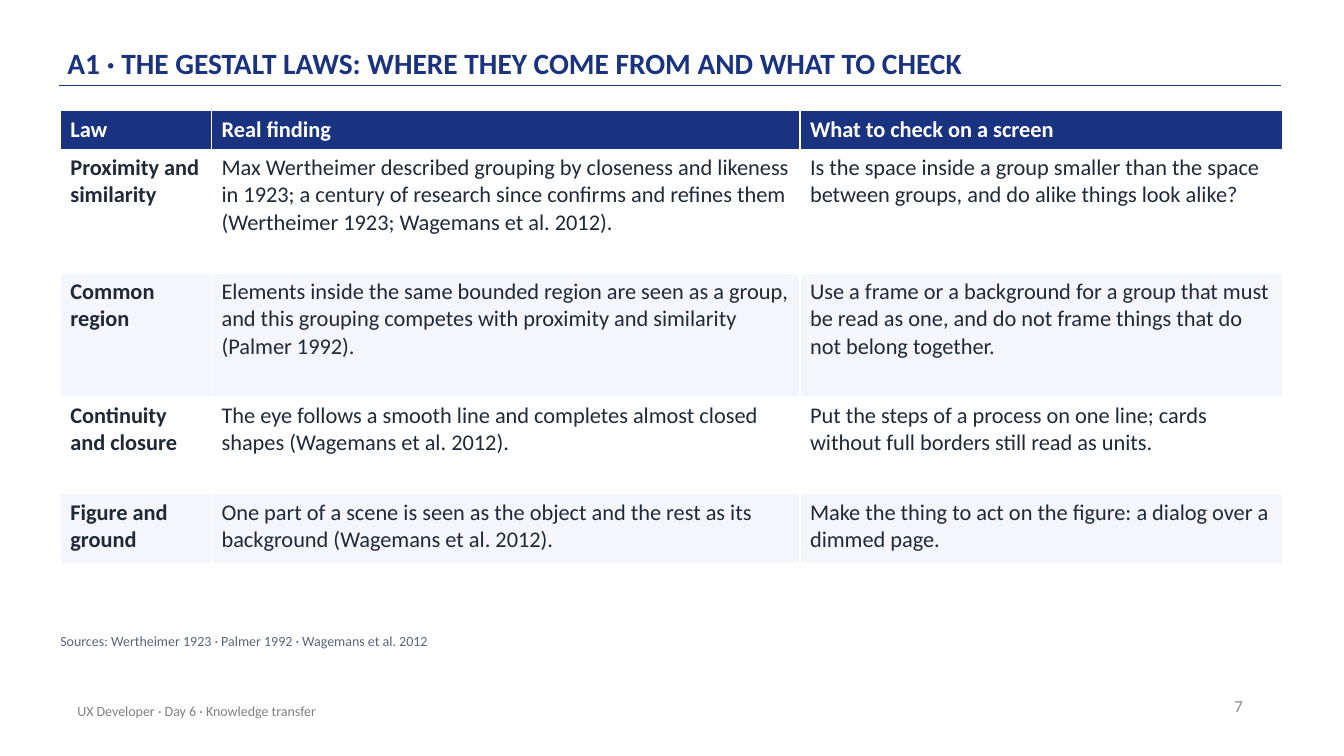
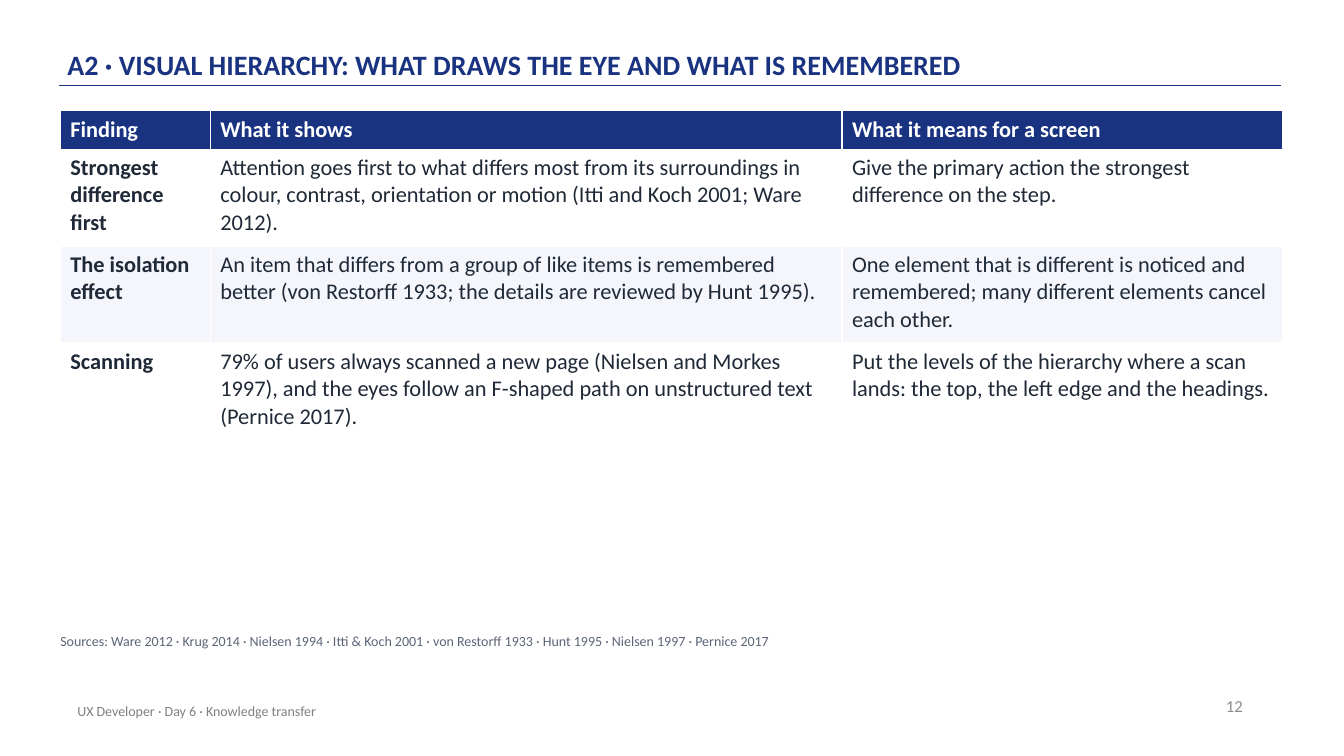
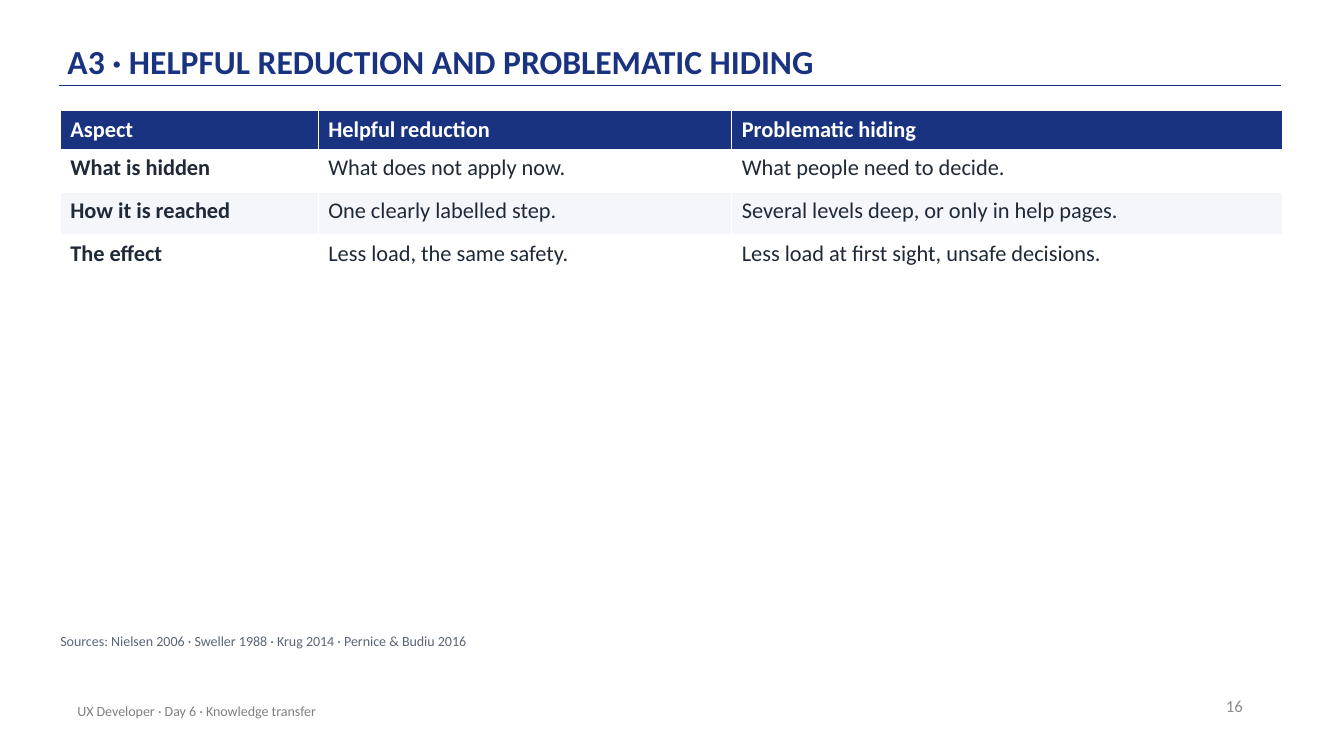
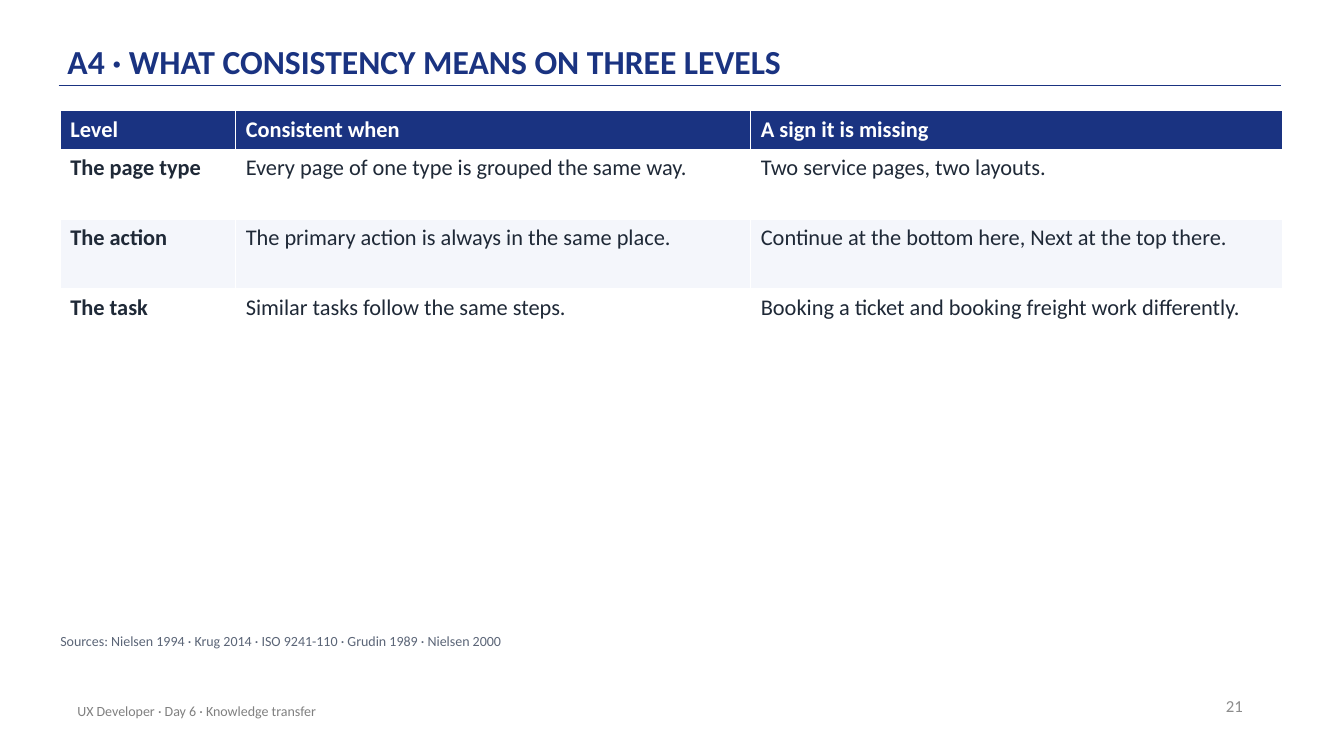
from lxml.etree import SubElement
from pptx import Presentation
from pptx.dml.color import RGBColor
from pptx.enum.shapes import MSO_CONNECTOR
from pptx.enum.text import MSO_ANCHOR, MSO_AUTO_SIZE, PP_ALIGN
from pptx.oxml.ns import qn
from pptx.util import Cm, Pt

NAVY = "1A3381"
INK = "1F2937"
WHITE = "FFFFFF"
PALE = "F4F6FB"
SLATE = "5B6577"
FOOTER_GREY = "808080"
NUMBER_GREY = "8C8C8C"

FONT = "Calibri"
FOOTER = "UX Developer · Day 6 · Knowledge transfer"
TABLE_LEFT, TABLE_TOP, TABLE_WIDTH = 1.52, 2.79, 30.81
HEADER_HEIGHT, ROW_PADDING, LINE_HEIGHT = 0.97, 0.4, 0.68

TITLE_FRAME = {
    "margin_left": 0, "margin_right": 0, "margin_top": Cm(0.08), "margin_bottom": Cm(0.08),
    "vertical_anchor": MSO_ANCHOR.BOTTOM, "auto_size": MSO_AUTO_SIZE.NONE, "word_wrap": True,
}
FOOTER_FRAME = {"vertical_anchor": MSO_ANCHOR.MIDDLE, "word_wrap": True}
SOURCES_FRAME = {
    "margin_left": 0, "margin_right": 0, "margin_top": 0, "margin_bottom": 0,
    "auto_size": MSO_AUTO_SIZE.SHAPE_TO_FIT_TEXT, "word_wrap": True,
}

SLIDES = [
    {
        "title": "A1 · THE GESTALT LAWS: WHERE THEY COME FROM AND WHAT TO CHECK",
        "title_size": 21,
        "number": 7,
        "first_columns": (3.81, 14.83),
        "row_lines": (4, 4, 3, 2),
        "rows": [
            ("Law", "Real finding", "What to check on a screen"),
            ("Proximity and similarity",
             "Max Wertheimer described grouping by closeness and likeness in 1923; a century of "
             "research since confirms and refines them (Wertheimer 1923; Wagemans et al. 2012).",
             "Is the space inside a group smaller than the space between groups, "
             "and do alike things look alike?"),
            ("Common region",
             "Elements inside the same bounded region are seen as a group, and this grouping "
             "competes with proximity and similarity (Palmer 1992).",
             "Use a frame or a background for a group that must be read as one, "
             "and do not frame things that do not belong together."),
            ("Continuity and closure",
             "The eye follows a smooth line and completes almost closed shapes "
             "(Wagemans et al. 2012).",
             "Put the steps of a process on one line; cards without full borders "
             "still read as units."),
            ("Figure and ground",
             "One part of a scene is seen as the object and the rest as its background "
             "(Wagemans et al. 2012).",
             "Make the thing to act on the figure: a dialog over a dimmed page."),
        ],
        "sources": "Sources: Wertheimer 1923 · Palmer 1992 · Wagemans et al. 2012",
    },
    {
        "title": "A2 · VISUAL HIERARCHY: WHAT DRAWS THE EYE AND WHAT IS REMEMBERED",
        "title_size": 20,
        "number": 12,
        "first_columns": (3.78, 15.92),
        "row_lines": (3, 3, 3),
        "rows": [
            ("Finding", "What it shows", "What it means for a screen"),
            ("Strongest difference first",
             "Attention goes first to what differs most from its surroundings in colour, "
             "contrast, orientation or motion (Itti and Koch 2001; Ware 2012).",
             "Give the primary action the strongest difference on the step."),
            ("The isolation effect",
             "An item that differs from a group of like items is remembered better "
             "(von Restorff 1933; the details are reviewed by Hunt 1995).",
             "One element that is different is noticed and remembered; "
             "many different elements cancel each other."),
            ("Scanning",
             "79% of users always scanned a new page (Nielsen and Morkes 1997), and the eyes "
             "follow an F-shaped path on unstructured text (Pernice 2017).",
             "Put the levels of the hierarchy where a scan lands: the top, "
             "the left edge and the headings."),
        ],
        "sources": "Sources: Ware 2012 · Krug 2014 · Nielsen 1994 · Itti & Koch 2001 · "
                   "von Restorff 1933 · Hunt 1995 · Nielsen 1997 · Pernice 2017",
    },
    {
        "title": "A3 · HELPFUL REDUCTION AND PROBLEMATIC HIDING",
        "title_size": 24,
        "number": 16,
        "first_columns": (6.5, 10.42),
        "row_lines": (1, 1, 1),
        "rows": [
            ("Aspect", "Helpful reduction", "Problematic hiding"),
            ("What is hidden", "What does not apply now.", "What people need to decide."),
            ("How it is reached", "One clearly labelled step.",
             "Several levels deep, or only in help pages."),
            ("The effect", "Less load, the same safety.",
             "Less load at first sight, unsafe decisions."),
        ],
        "sources": "Sources: Nielsen 2006 · Sweller 1988 · Krug 2014 · Pernice & Budiu 2016",
    },
    {
        "title": "A4 · WHAT CONSISTENCY MEANS ON THREE LEVELS",
        "title_size": 24,
        "number": 21,
        "first_columns": (4.42, 12.98),
        "row_lines": (2, 2, 2),
        "rows": [
            ("Level", "Consistent when", "A sign it is missing"),
            ("The page type", "Every page of one type is grouped the same way.",
             "Two service pages, two layouts."),
            ("The action", "The primary action is always in the same place.",
             "Continue at the bottom here, Next at the top there."),
            ("The task", "Similar tasks follow the same steps.",
             "Booking a ticket and booking freight work differently."),
        ],
        "sources": "Sources: Nielsen 1994 · Krug 2014 · ISO 9241-110 · Grudin 1989 · Nielsen 2000",
    },
]


def rgb(hex_code):
    return RGBColor.from_string(hex_code)


def apply_format(target, values):
    for attribute, value in values.items():
        setattr(target, attribute, value)


def write(frame, text, size, colour, bold=False, **paragraph_format):
    frame.text = text
    paragraph = frame.paragraphs[0]
    apply_format(paragraph, paragraph_format)
    font = paragraph.runs[0].font
    apply_format(font, {"name": FONT, "size": Pt(size), "bold": bold})
    font.color.rgb = rgb(colour)


def set_title(slide, text, size):
    title = slide.shapes.title
    apply_format(title, {"left": Cm(1.7), "top": Cm(0.3), "width": Cm(27.94), "height": Cm(1.83)})
    apply_format(title.text_frame, TITLE_FRAME)
    write(title.text_frame, text, size, NAVY, True, alignment=PP_ALIGN.LEFT, line_spacing=0.9)


def add_title_rule(slide):
    rule = slide.shapes.add_connector(
        MSO_CONNECTOR.STRAIGHT, Cm(1.48), Cm(2.16), Cm(32.28), Cm(2.16))
    rule.line.color.rgb = rgb(NAVY)
    rule.line.width = Pt(1)
    SubElement(rule._element.spPr, qn("a:effectLst"))


def add_text(slide, box, frame_format, text, size, colour, **paragraph_format):
    frame = slide.shapes.add_textbox(*map(Cm, box)).text_frame
    apply_format(frame, frame_format)
    write(frame, text, size, colour, **paragraph_format)


def add_findings(slide, rows, first_columns, row_lines):
    widths = (*first_columns, TABLE_WIDTH - sum(first_columns))
    heights = (HEADER_HEIGHT, *(ROW_PADDING + LINE_HEIGHT * lines for lines in row_lines))
    findings = slide.shapes.add_table(
        len(rows), len(widths), Cm(TABLE_LEFT), Cm(TABLE_TOP),
        Cm(TABLE_WIDTH), Cm(sum(heights))).table
    for column, width in zip(findings.columns, widths):
        column.width = Cm(width)
    for index, (row, height, texts) in enumerate(zip(findings.rows, heights, rows)):
        row.height = Cm(height)
        is_header = index == 0
        fill = NAVY if is_header else (WHITE if index % 2 else PALE)
        for position, (cell, text) in enumerate(zip(row.cells, texts)):
            cell.fill.solid()
            cell.fill.fore_color.rgb = rgb(fill)
            write(cell.text_frame, text, 16, WHITE if is_header else INK,
                  is_header or position == 0)


def build_slide(deck, content):
    slide = deck.slides.add_slide(deck.slide_layouts[5])
    add_title_rule(slide)
    set_title(slide, content["title"], content["title_size"])
    add_text(slide, (23.95, 17.27, 7.62, 1.02), FOOTER_FRAME, str(content["number"]),
             12, NUMBER_GREY, alignment=PP_ALIGN.RIGHT)
    add_text(slide, (1.7, 17.4, 17.02, 1.02), FOOTER_FRAME, FOOTER, 10, FOOTER_GREY)
    add_findings(slide, content["rows"], content["first_columns"], content["row_lines"])
    add_text(slide, (1.52, 15.93, 30.73, 0.76), SOURCES_FRAME, content["sources"],
             10, SLATE, space_after=Pt(6))


def main():
    deck = Presentation()
    deck.slide_width, deck.slide_height = Cm(33.87), Cm(19.05)
    for content in SLIDES:
        build_slide(deck, content)
    deck.save("out.pptx")


if __name__ == "__main__":
    main()
